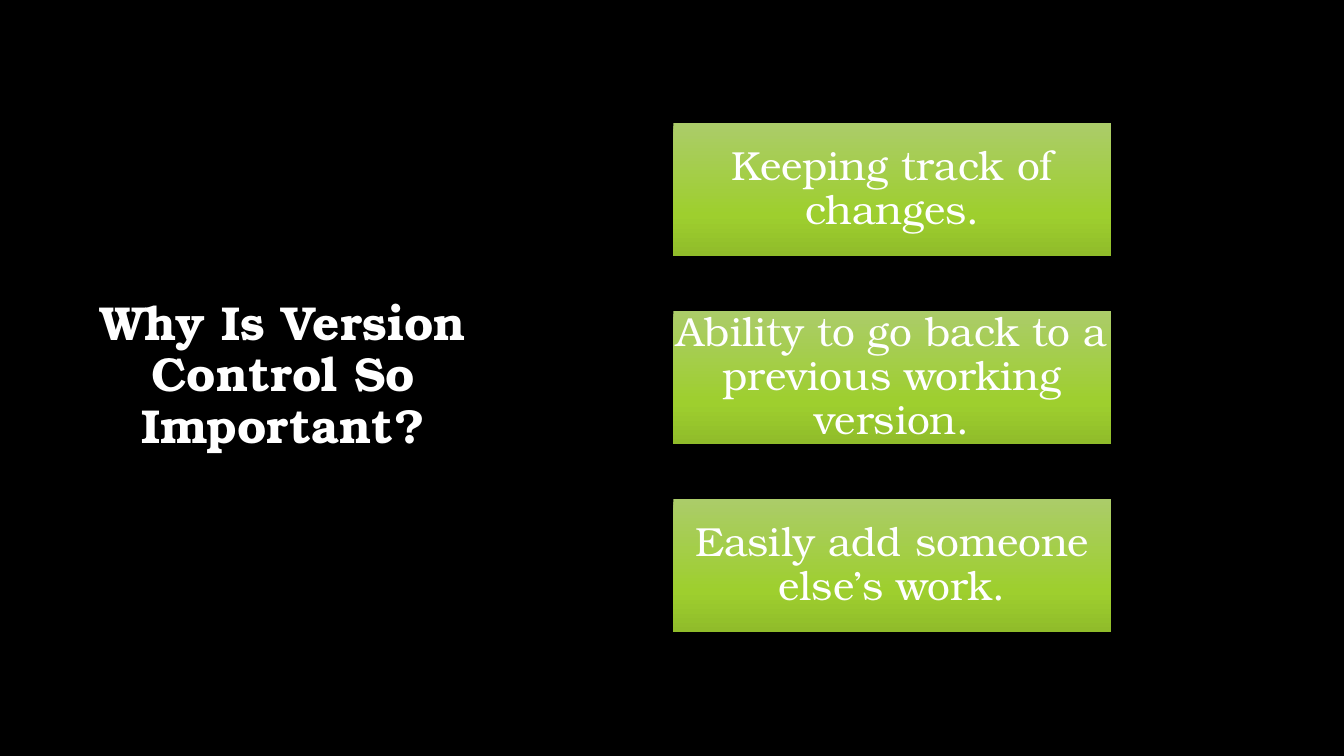
from copy import deepcopy
from dataclasses import dataclass

from pptx import Presentation
from pptx import util as u
from pptx.dml.color import RGBColor
from pptx.enum import shapes, text
from pptx.oxml.ns import qn


@dataclass(frozen=True)
class Theme:
    font: str = "TeX Gyre Bonum"
    title_size: int = 34
    card_size: int = 29
    background: str = "000000"
    ink: str = "FFFFFF"
    gradient: tuple = ((0, "ABCC69"), (0.69, "9ECF2E"), (1, "90BC2A"))


@dataclass(frozen=True)
class Box:
    """A region in inches."""
    left: float
    top: float
    width: float
    height: float

    def lengths(self):
        return [u.Inches(n) for n in (self.left, self.top, self.width, self.height)]


THEME = Theme()
WIDTH, HEIGHT = 13.33, 7.5
TITLE_BOX = Box(0.82, 0.67, 3.98, 6.13)
CARDS_BOX = Box(6.68, 1.22, 4.34, 5.05)
CARD_HEIGHT = 1.32
TITLE = "Why Is Version Control So Important?"
REASONS = (
    "Keeping track of changes.",
    "Ability to go back to a previous working version.",
    "Easily add someone else’s work.",
)


def apply(target, values):
    for name, value in values.items():
        setattr(target, name, value)


def write(shape, words, size, bold=False, inset=None):
    """Fill a shape with one centred paragraph."""
    frame = shape.text_frame
    apply(frame, {"word_wrap": True, "vertical_anchor": text.MSO_ANCHOR.MIDDLE})
    if inset is not None:
        apply(frame, {f"margin_{side}": u.Inches(inset)
                      for side in ("left", "top", "right", "bottom")})
    para = frame.paragraphs[0]
    apply(para, {"alignment": text.PP_ALIGN.CENTER, "line_spacing": 0.9})
    span = para.add_run()
    span.text = words
    apply(span.font, {"name": THEME.font, "size": u.Pt(size), "bold": bold})
    span.font.color.rgb = RGBColor.from_string(THEME.ink)


def paint_gradient(shape):
    """Shade a shape from top to bottom with the theme's stops."""
    fill = shape.fill
    fill.gradient()
    fill.gradient_angle = 270
    stop_list = shape.element.spPr.find(qn("a:gradFill")).find(qn("a:gsLst"))
    while len(stop_list) < len(THEME.gradient):
        stop_list.append(deepcopy(stop_list[0]))
    for stop, (position, color) in zip(fill.gradient_stops, THEME.gradient):
        stop.position = position
        stop.color.rgb = RGBColor.from_string(color)


def add_title(page, box):
    write(page.shapes.add_textbox(*box.lengths()), TITLE, THEME.title_size, bold=True)


def add_cards(page, box):
    """Stack equal cards so that the first and last touch the box's edges."""
    step = (box.height - CARD_HEIGHT) / (len(REASONS) - 1)
    for row, reason in enumerate(REASONS):
        place = Box(box.left, box.top + row * step, box.width, CARD_HEIGHT)
        card = page.shapes.add_shape(shapes.MSO_SHAPE.RECTANGLE, *place.lengths())
        card.shadow.inherit = False
        card.line.fill.background()
        paint_gradient(card)
        write(card, reason, THEME.card_size, inset=0.02)


# Deck and page
deck = Presentation()
apply(deck, {"slide_width": u.Inches(WIDTH), "slide_height": u.Inches(HEIGHT)})
page = deck.slides.add_slide(deck.slide_layouts[6])
page.background.fill.solid()
page.background.fill.fore_color.rgb = RGBColor.from_string(THEME.background)

# Regions
add_title(page, TITLE_BOX)
add_cards(page, CARDS_BOX)

deck.save("out.pptx")
